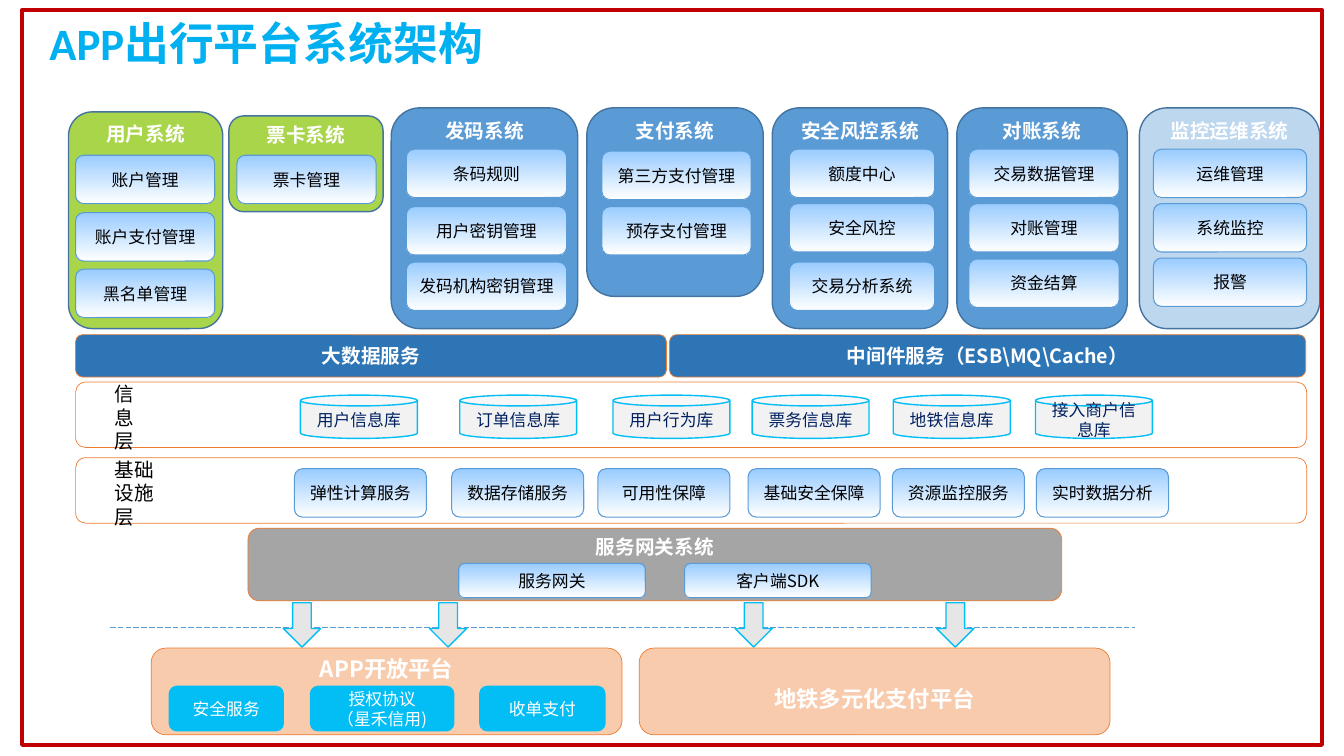
from lxml import etree
from pptx import Presentation
from pptx import util as u
from pptx.dml.color import RGBColor
from pptx.enum import dml, shapes, text
from pptx.oxml import ns

PX = 9144
CJK = "Noto Sans CJK SC"
KIND = shapes.MSO_SHAPE
SNUG = (5, 3, 5, 3)
ROOMY = (10, 5, 10, 5)
GRADIENT = ("99CCFF", "FFFFFF")
CYAN, ORANGE, BLUE, GREEN = "03BEF4", "ED7D31", "5B9BD5", "A9D54B"

HEADING = dict(size=14, bold=True, color="FFFFFF")
PLATFORM = dict(size=16, bold=True, color="FFFFFF")
BODY = dict(size=12, bold=False, color="000000")
SERVICE = BODY | dict(color="FFFFFF")
DATABASE = BODY | dict(color="002060")
LABEL = BODY | dict(size=14)
TITLE = dict(size=32, bold=True, color="00B0F0", name="Calibri")

SYSTEMS = [
    ("用户系统", GREEN, (68, 111, 153, 215), 7, 138,
     [("账户管理", 43), ("账户支付管理", 100), ("黑名单管理", 156)]),
    ("票卡系统", GREEN, (227, 115, 153, 95), 8, 138, [("票卡管理", 39)]),
    ("发码系统", BLUE, (388, 107, 185, 219), 15, 159,
     [("条码规则", 41), ("用户密钥管理", 98), ("发码机构密钥管理", 153)]),
    ("支付系统", BLUE, (582, 107, 175, 187), 15, 148,
     [("第三方支付管理", 43), ("预存支付管理", 98)]),
    ("安全风控系统", BLUE, (766, 107, 174, 219), 17, 144,
     [("额度中心", 41), ("安全风控", 95), ("交易分析系统", 153)]),
    ("对账系统", BLUE, (949, 107, 169, 219), 12, 149,
     [("交易数据管理", 41), ("对账管理", 95), ("资金结算", 150)]),
    ("监控运维系统", "BDD7EE", (1130, 107, 179, 219), 14, 152,
     [("运维管理", 41), ("系统监控", 95), ("报警", 149)]),
]
DATABASES = [("用户信息库", 223), ("订单信息库", 381), ("用户行为库", 533),
             ("票务信息库", 671), ("地铁信息库", 811), ("接入商户信息库", 952)]
RESOURCES = [("弹性计算服务", 217), ("数据存储服务", 373), ("可用性保障", 518),
             ("基础安全保障", 667), ("资源监控服务", 810), ("实时数据分析", 953)]


def rgb(value):
    """Turn a hex string into a colour."""
    return RGBColor.from_string(value)


def emu(box):
    """Turn lengths in px into EMU."""
    return [length * PX for length in box]


def write(frame, lines, look, align="CENTER", anchor="TOP", inset=SNUG, wrap=True):
    """Fill a text frame with formatted paragraphs."""
    sides = ("margin_left", "margin_top", "margin_right", "margin_bottom")
    settings = dict(zip(sides, emu(inset)), word_wrap=wrap,
                    auto_size=text.MSO_AUTO_SIZE.NONE,
                    vertical_anchor=text.MSO_ANCHOR[anchor])
    for name, value in settings.items():
        setattr(frame, name, value)
    for index, line in enumerate(lines):
        para = frame.add_paragraph() if index else frame.paragraphs[0]
        para.alignment = text.PP_ALIGN[align]
        span = para.add_run()
        span.text = line
        font = dict(name=look.get("name", CJK), size=u.Pt(look["size"]), bold=look["bold"])
        for name, value in font.items():
            setattr(span.font, name, value)
        span.font.color.rgb = rgb(look["color"])
        etree.SubElement(span._r.get_or_add_rPr(), ns.qn("a:ea"), typeface=CJK)


def block(slide, kind, box, fill, line, width, corner=None):
    """Draw a preset shape without shadow."""
    shape = slide.shapes.add_shape(kind, *emu(box))
    shape.shadow.inherit = False
    if fill is None:
        shape.fill.background()
    elif fill is GRADIENT:
        shape.fill.gradient()
        shape.fill.gradient_angle = 270
        for stop, color in zip(shape.fill.gradient_stops, fill):
            stop.color.rgb = rgb(color)
    else:
        shape.fill.solid()
        shape.fill.fore_color.rgb = rgb(fill)
    shape.line.color.rgb = rgb(line)
    shape.line.width = u.Pt(width)
    if corner is not None:
        shape.adjustments[0] = corner
    return shape


def card(slide, box, label):
    """Draw a gradient card with a centred label."""
    shape = block(slide, KIND.ROUNDED_RECTANGLE, box, GRADIENT, BLUE, 0.75)
    write(shape.text_frame, [label], BODY, anchor="MIDDLE")


def panel(slide, box, fill, corner=None):
    """Draw a rounded panel with an orange outline."""
    return block(slide, KIND.ROUNDED_RECTANGLE, box, fill, ORANGE, 0.5, corner)


def headline(slide, box, words):
    """Place the slide title."""
    title = slide.shapes.title
    title.left, title.top, title.width, title.height = emu(box)
    write(title.text_frame, [words], TITLE, align="LEFT")
    title.text_frame.paragraphs[0].line_spacing = 0.9


def system(slide, box, name, fill, indent, width, cards):
    """Draw a system with its stack of cards."""
    left, top = box[:2]
    shape = block(slide, KIND.ROUNDED_RECTANGLE, box, fill, "43739E", 1, 0.154)
    write(shape.text_frame, [name], HEADING, wrap=False)
    for label, drop in cards:
        card(slide, (left + indent, top + drop, width, 48), label)


def bar(slide, box, label):
    """Draw a dark blue service bar."""
    shape = panel(slide, box, "2E75B6")
    write(shape.text_frame, [label], HEADING, anchor="MIDDLE")


def layer(slide, box, label, label_width):
    """Draw an outlined layer with its name at the left."""
    left, top = box[:2]
    panel(slide, box, None, 0.154)
    caption = slide.shapes.add_textbox(*emu((left + 29, top - 5, label_width, 81)))
    write(caption.text_frame, label, LABEL, align="LEFT", inset=ROOMY)


def information_layer(slide, box):
    """Draw the layer of databases."""
    left, top = box[:2]
    layer(slide, box, ["信", "息", "层"], 54)
    for label, offset in DATABASES:
        can = block(slide, KIND.CAN, (left + offset, top + 13, 116, 43), "F2F2F2", CYAN, 1)
        write(can.text_frame, [label], DATABASE, anchor="MIDDLE", inset=ROOMY)


def infrastructure_layer(slide, box):
    """Draw the layer of basic resources."""
    left, top = box[:2]
    layer(slide, box, ["基础", "设施", "层"], 82)
    for label, offset in RESOURCES:
        card(slide, (left + offset, top + 11, 131, 48), label)


def gateway(slide, box):
    """Draw the service gateway with its two parts."""
    left, top = box[:2]
    shape = panel(slide, box, "A5A5A5", 0.154)
    write(shape.text_frame, ["服务网关系统"], HEADING)
    for label, offset in (("服务网关", 209), ("客户端SDK", 433)):
        card(slide, (left + offset, top + 35, 185, 34), label)


def boundary(slide, box):
    """Draw the dashed boundary and the arrows that cross it."""
    left, top, width, height = box
    level = top + 24
    rule = slide.shapes.add_connector(shapes.MSO_CONNECTOR.STRAIGHT,
                                      *emu((left, level, left + width, level)))
    rule.line.color.rgb = rgb(BLUE)
    rule.line.width = u.Pt(0.5)
    rule.line.dash_style = dml.MSO_LINE.LONG_DASH
    etree.SubElement(rule._element.spPr, ns.qn("a:effectLst"))
    for offset in (172, 317, 620, 820):
        block(slide, KIND.DOWN_ARROW, (left + offset, top, 37, height), "E7E6E6", CYAN, 1)


def platform(slide, box, name, drop, services):
    """Draw a platform with its services."""
    left, top = box[:2]
    shape = panel(slide, box, "F8CBAD")
    write(shape.text_frame, [name], PLATFORM, inset=(5, drop, 5, 3))
    for lines, offset, width in services:
        tile = block(slide, KIND.ROUNDED_RECTANGLE,
                     (left + offset, top + 38, width, 44), CYAN, CYAN, 1)
        write(tile.text_frame, lines, SERVICE, anchor="MIDDLE", inset=ROOMY)


def main():
    """Build the architecture slide."""
    deck = Presentation()
    deck.slide_width, deck.slide_height = emu((1333, 750))
    page = deck.slides.add_slide(deck.slide_layouts[5])
    headline(page, (44, 19, 1246, 88), "APP出行平台系统架构")
    for name, fill, box, indent, width, cards in SYSTEMS:
        system(page, box, name, fill, indent, width, cards)
    bar(page, (75, 332, 586, 42), "大数据服务")
    bar(page, (664, 332, 631, 42), "中间件服务（ESB\\MQ\\Cache）")
    information_layer(page, (75, 379, 1221, 65))
    infrastructure_layer(page, (75, 454, 1221, 65))
    gateway(page, (246, 524, 807, 72))
    boundary(page, (109, 598, 1017, 44))
    platform(page, (150, 643, 467, 86), "APP开放平台", 3,
             [(["安全服务"], 18, 113), (["授权协议", "（星禾信用)"], 158, 142),
              (["收单支付"], 326, 124)])
    platform(page, (634, 643, 467, 86), "地铁多元化支付平台", 33, [])
    block(page, KIND.RECTANGLE, (22, 10, 1289, 729), None, "C00000", 3)
    deck.save("out.pptx")


if __name__ == "__main__":
    main()
